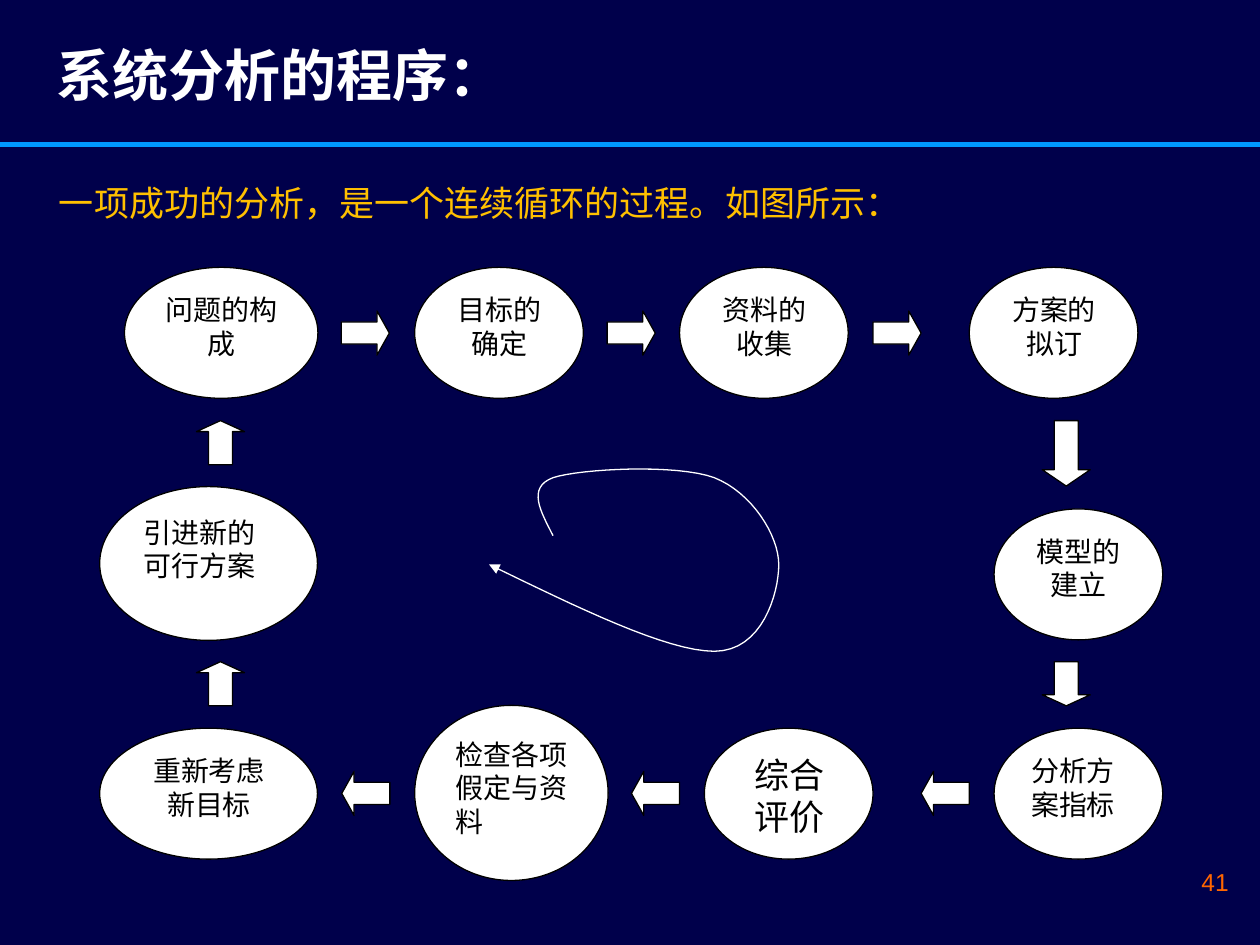
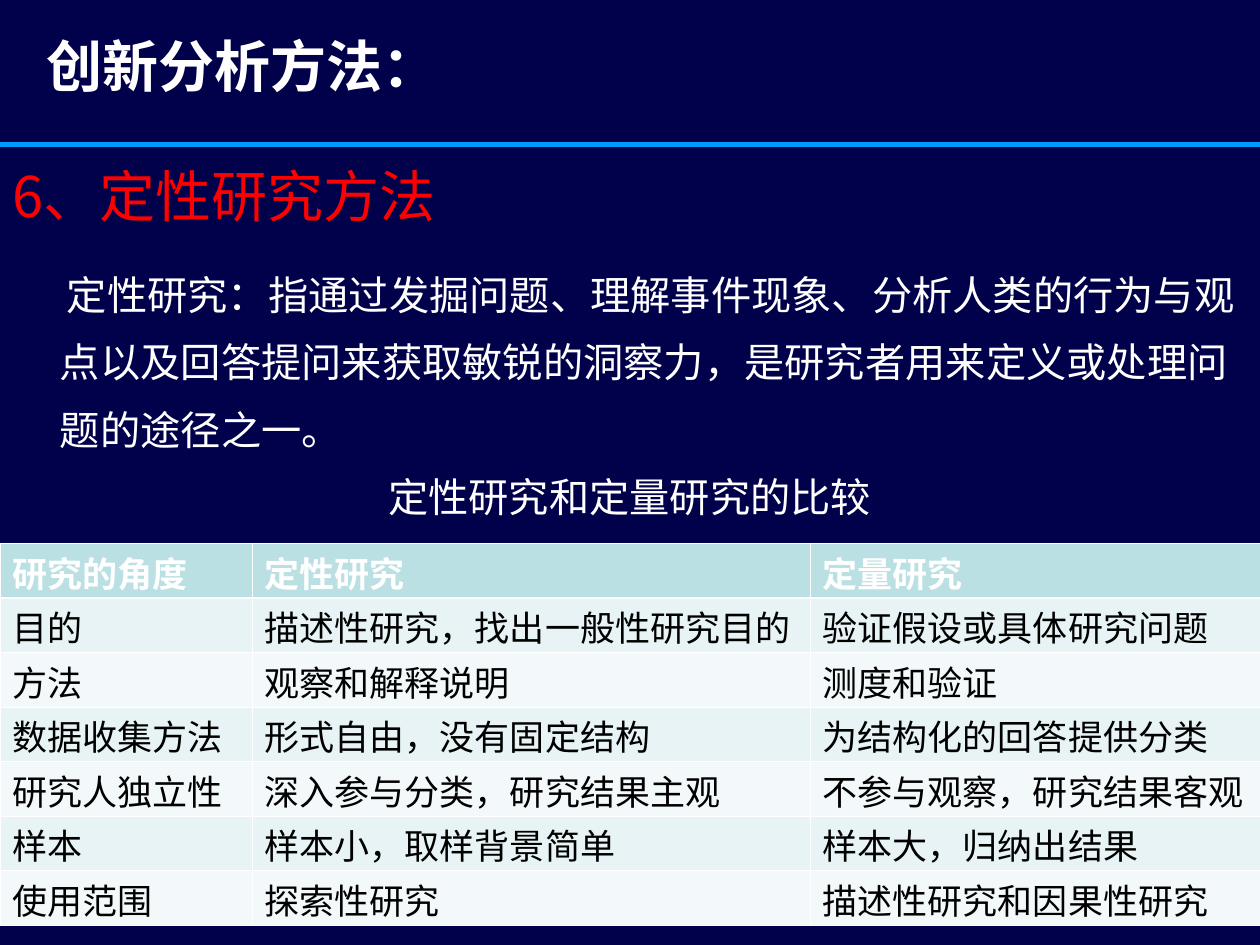
from lxml import etree
from pptx import Presentation
from pptx.dml.color import RGBColor
from pptx.enum import shapes, text
from pptx.oxml import ns
from pptx.util import Cm, Pt

NAVY, BLUE, WHITE, BLACK = "00004B", "0099FF", "FFFFFF", "000000"
ORANGE, GOLD, RED = "FF6600", "FFC000", "FF0000"
HEAD_FILL, ROW_FILLS = "BBE0E3", ("E7F3F4", "F3F9FA")
CJK = "Noto Sans CJK SC"
LEFT, CENTER, RIGHT = text.PP_ALIGN.LEFT, text.PP_ALIGN.CENTER, text.PP_ALIGN.RIGHT
SHAPE = shapes.MSO_SHAPE
WIDTH, HEIGHT = 25.4, 19.05
SMALL, MEDIUM, LARGE = 3.4, 3.9, 4.39
OVAL_H = 2.64
TOP, BOTTOM = 5.39, 14.68

STEPS = [
    ("问题的构成", 2.51, TOP, MEDIUM, OVAL_H, 16, CENTER),
    ("目标的确定", 8.36, TOP, SMALL, OVAL_H, 16, CENTER),
    ("资料的收集", 13.7, TOP, SMALL, OVAL_H, 16, CENTER),
    ("方案的拟订", 19.54, TOP, SMALL, OVAL_H, 16, CENTER),
    ("模型的建立", 20.04, 10.26, SMALL, OVAL_H, 16, CENTER),
    ("分析方案指标", 20.04, BOTTOM, SMALL, OVAL_H, 16, LEFT),
    ("综合\n评价", 14.2, BOTTOM, SMALL, OVAL_H, 20, CENTER),
    ("检查各项假定与资料", 8.36, 14.22, MEDIUM, 3.53, 16, LEFT),
    ("重新考虑新目标", 2.01, BOTTOM, LARGE, OVAL_H, 16, CENTER),
    ("引进新的可行方案", 2.01, 9.81, LARGE, 3.1, 16, LEFT),
]
ARROW_W, ARROW_H = 0.97, 0.89
ARROWS = [
    (SHAPE.RIGHT_ARROW, [(x, 6.27) for x in (6.88, 12.24, 17.6)], ARROW_H, 0.28),
    (SHAPE.LEFT_ARROW, [(x, 15.55) for x in (6.89, 12.73, 18.57)], ARROW_H, 0.28),
    (SHAPE.UP_ARROW, [(3.96, y) for y in (8.48, 13.34)], ARROW_H, 0.25),
    (SHAPE.DOWN_ARROW, [(21.01, 8.48)], 1.32, 0.34),
    (SHAPE.DOWN_ARROW, [(21.01, 13.34)], ARROW_H, 0.25),
]
LOOP_START = (11.15, 10.8)
LOOP_CURVES = [
    ((10.9, 10.31), (10.62, 9.83), (11.15, 9.63)),
    ((11.7, 9.45), (13.64, 9.35), (14.4, 9.63)),
    ((15.16, 9.93), (15.7, 10.8), (15.7, 11.38)),
    ((15.7, 11.96), (15.37, 13.13), (14.4, 13.13)),
    ((13.44, 13.13), (11.63, 12.24), (9.86, 11.38)),
]
DEFINITION = ("定性研究：指通过发掘问题、理解事件现象、分析人类的行为与观点以及回答提问"
              "来获取敏锐的洞察力，是研究者用来定义或处理问题的途径之一。")
COMPARISON = [
    ("研究的角度", "定性研究", "定量研究"),
    ("目的", "描述性研究，找出一般性研究目的", "验证假设或具体研究问题"),
    ("方法", "观察和解释说明", "测度和验证"),
    ("数据收集方法", "形式自由，没有固定结构", "为结构化的回答提供分类"),
    ("研究人独立性", "深入参与分类，研究结果主观", "不参与观察，研究结果客观"),
    ("样本", "样本小，取样背景简单", "样本大，归纳出结果"),
    ("使用范围", "探索性研究", "描述性研究和因果性研究"),
]
COLUMNS, ROW_H = (5.08, 11.25, 9.07), 1.1


def rgb(value):
    return RGBColor.from_string(value)


def box(*lengths):
    return [Cm(n) for n in lengths]


def child(parent, tag, **attrs):
    return etree.SubElement(parent, ns.qn(tag), attrs)


def write(tf, content, size, color, font=CJK, align=LEFT, bold=False, leading=1.2):
    tf.text = content
    tf.word_wrap = True
    tf.vertical_anchor = text.MSO_ANCHOR.TOP
    for p in tf.paragraphs:
        p.alignment = align
        p.line_spacing = Pt(round(size * leading, 1))
        for r in p.runs:
            r.font.name, r.font.size, r.font.bold = font, Pt(size), bold
            r.font.color.rgb = rgb(color)
            child(r.font._element, "a:ea", typeface=CJK)


def add_text(s, place, *args, **kwargs):
    tf = s.shapes.add_textbox(*box(*place)).text_frame
    write(tf, *args, **kwargs)
    return tf


def add_figure(s, kind, place):
    sp = s.shapes.add_shape(kind, *box(*place))
    sp.shadow.inherit = False
    sp.fill.solid()
    sp.fill.fore_color.rgb = rgb(WHITE)
    sp.line.color.rgb = rgb(BLACK)
    sp.line.width = Pt(0.75)
    return sp


def add_slide(prs, title, place):
    s = prs.slides.add_slide(prs.slide_layouts[5])
    rule = s.shapes.add_connector(shapes.MSO_CONNECTOR.STRAIGHT, *box(0, 2.92, WIDTH, 2.92))
    rule.line.color.rgb = rgb(BLUE)
    rule.line.width = Pt(3)
    child(rule._element.spPr, "a:effectLst")
    heading = s.shapes.title
    heading.left, heading.top, heading.width, heading.height = box(*place)
    write(heading.text_frame, title, 32, WHITE, bold=True)
    heading.text_frame.auto_size = text.MSO_AUTO_SIZE.NONE
    return s


def curve_points(start, curves, steps=16):
    for a, b, end in curves:
        for i in range(1, steps + 1):
            t = i / steps
            weights = ((1 - t) ** 3, 3 * t * (1 - t) ** 2, 3 * t * t * (1 - t), t ** 3)
            yield tuple(Cm(sum(w * n for w, n in zip(weights, axis)))
                        for axis in zip(start, a, b, end))
        start = end


def add_loop(s):
    builder = s.shapes.build_freeform(*box(*LOOP_START))
    builder.add_line_segments(list(curve_points(LOOP_START, LOOP_CURVES)), close=False)
    sp = builder.convert_to_shape()
    sp.shadow.inherit = False
    sp.fill.background()
    sp.line.color.rgb = rgb(WHITE)
    sp.line.width = Pt(0.75)
    child(sp.line._get_or_add_ln(), "a:tailEnd", type="triangle")


def build_procedure(prs):
    s = add_slide(prs, "系统分析的程序：", (0.89, 0.69, 14.6, 1.63))
    add_text(s, (19.1, 17.35, 5.92, 1.32), "41", 14, ORANGE, "Arial", RIGHT)
    intro = add_text(s, (0.94, 3.53, 17.48, 1.12),
                     "一项成功的分析，是一个连续循环的过程。如图所示：", 20, GOLD)
    intro.word_wrap = False
    for label, x, y, w, h, size, align in STEPS:
        tf = add_figure(s, SHAPE.OVAL, (x, y, w, h)).text_frame
        write(tf, label, size, BLACK, "Calibri", align)
        tf.margin_right = Cm(0.23)
    for kind, places, height, head in ARROWS:
        for x, y in places:
            arrow = add_figure(s, kind, (x, y, ARROW_W, height))
            arrow.adjustments[1] = head
    add_loop(s)


def add_borders(cell, row):
    edges = {"a:lnL": 0.45, "a:lnR": 0.45,
             "a:lnT": 1.47 if row == 1 else 0.45,
             "a:lnB": 1.47 if row == 0 else 0.45}
    for tag, width in edges.items():
        ln = child(cell._tc.get_or_add_tcPr(), tag, w=str(Pt(width)))
        child(child(ln, "a:solidFill"), "a:srgbClr", val=WHITE)


def add_comparison(s):
    frame = s.shapes.add_table(len(COMPARISON), len(COLUMNS),
                               *box(0, 10.95, WIDTH, ROW_H * len(COMPARISON)))
    table = frame.table
    for column, width in zip(table.columns, COLUMNS):
        column.width = Cm(width)
    for i, row in enumerate(COMPARISON):
        table.rows[i].height = Cm(ROW_H)
        head = i == 0
        for j, content in enumerate(row):
            cell = table.cell(i, j)
            add_borders(cell, i)
            cell.fill.solid()
            cell.fill.fore_color.rgb = rgb(HEAD_FILL if head else ROW_FILLS[(i - 1) % 2])
            cell.margin_top, cell.margin_bottom = box(0.24, 0)
            write(cell.text_frame, content, 20, WHITE if head else BLACK, "Arial", bold=head)


def build_methods(prs):
    s = add_slide(prs, "创新分析方法：", (0.69, 0.51, 12.75, 1.63))
    add_text(s, (0, 3.14, WIDTH, 1.63), "6、定性研究方法", 32, RED)
    tf = add_text(s, (0, 4.93, WIDTH, 5.9), DEFINITION + "\n定性研究和定量研究的比较",
                  23, WHITE, leading=1.68)
    definition, caption = tf.paragraphs
    pPr = definition._p.get_or_add_pPr()
    pPr.set("marL", str(Cm(0.96)))
    pPr.set("indent", str(Cm(0.14)))
    caption.alignment = CENTER
    add_comparison(s)


def main():
    prs = Presentation()
    prs.slide_width, prs.slide_height = box(WIDTH, HEIGHT)
    fill = prs.slide_master.background.fill
    fill.solid()
    fill.fore_color.rgb = rgb(NAVY)
    build_procedure(prs)
    build_methods(prs)
    prs.save("out.pptx")


if __name__ == "__main__":
    main()
